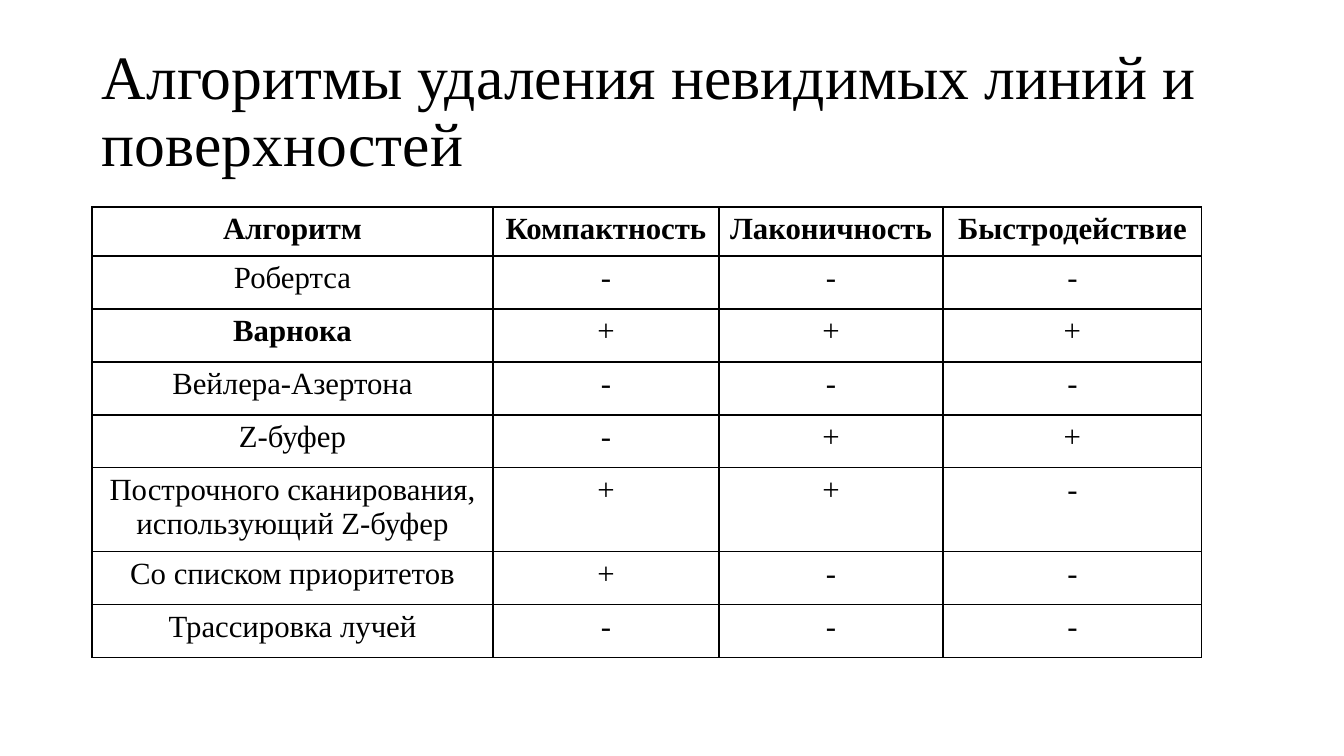
from dataclasses import dataclass

from lxml import etree
from pptx import Presentation
from pptx import util as u
from pptx.dml import color
from pptx.enum import text as t
from pptx.oxml import ns

EMU_PER_PIXEL = 914400 / 100.8


@dataclass(frozen=True)
class Theme:
    font: str = "Times New Roman"
    ink: str = "000000"
    paper: str = "FFFFFF"
    title_size: int = 44
    table_size: int = 22
    border_width: int = 1


THEME = Theme()

HEADER = ("Алгоритм", "Компактность", "Лаконичность", "Быстродействие")
ALGORITHMS = (
    ("Робертса", "---"),
    ("Варнока", "+++"),
    ("Вейлера-Азертона", "---"),
    ("Z-буфер", "-++"),
    ("Построчного сканирования, использующий Z-буфер", "++-"),
    ("Со списком приоритетов", "+--"),
    ("Трассировка лучей", "---"),
)
BEST_ALGORITHM = "Варнока"
COLUMN_WIDTHS = (401, 226, 224, 259)
HEADER_HEIGHT, ROW_HEIGHT, TWO_LINE_HEIGHT = 49, 53, 78
TWO_LINE_ROW = 5


def px(pixels):
    return u.Emu(round(pixels * EMU_PER_PIXEL))


def write(frame, text, *, size, bold=False, align=t.PP_ALIGN.LEFT, spacing=1.0):
    frame.word_wrap = True
    paragraph = frame.paragraphs[0]
    paragraph.alignment = align
    paragraph.line_spacing = spacing
    run = paragraph.add_run()
    run.text = text
    run.font.name = THEME.font
    run.font.size = u.Pt(size)
    run.font.bold = bold
    run.font.color.rgb = color.RGBColor.from_string(THEME.ink)


def set_borders(cell):
    properties = cell._tc.get_or_add_tcPr()
    for position, side in enumerate(("lnL", "lnR", "lnT", "lnB")):
        line = etree.Element(ns.qn(f"a:{side}"), w=str(u.Pt(THEME.border_width)))
        fill = etree.SubElement(line, ns.qn("a:solidFill"))
        etree.SubElement(fill, ns.qn("a:srgbClr"), val=THEME.ink)
        properties.insert(position, line)


def add_title(slide, left, top, width, height):
    shape = slide.shapes.add_textbox(px(left), px(top), px(width), px(height))
    shape.text_frame.vertical_anchor = t.MSO_ANCHOR.MIDDLE
    write(shape.text_frame, "Алгоритмы удаления невидимых линий и поверхностей",
          size=THEME.title_size, spacing=0.9)


def add_comparison(slide, left, top, width, height):
    rows = [HEADER] + [(name, *marks) for name, marks in ALGORITHMS]
    table = slide.shapes.add_table(len(rows), len(HEADER), px(left), px(top),
                                   px(width), px(height)).table
    table.horz_banding = False

    # Grid: column widths are shares of the box
    for column, share in zip(table.columns, COLUMN_WIDTHS):
        column.width = px(width * share / sum(COLUMN_WIDTHS))
    for row in table.rows:
        row.height = px(ROW_HEIGHT)
    table.rows[0].height = px(HEADER_HEIGHT)
    table.rows[TWO_LINE_ROW].height = px(TWO_LINE_HEIGHT)

    # Cells
    for row_index, values in enumerate(rows):
        for column_index, value in enumerate(values):
            cell = table.cell(row_index, column_index)
            cell.fill.solid()
            cell.fill.fore_color.rgb = color.RGBColor.from_string(THEME.paper)
            cell.margin_left = cell.margin_right = px(9)
            set_borders(cell)
            write(cell.text_frame, value, size=THEME.table_size,
                  bold=row_index == 0 or value == BEST_ALGORITHM,
                  align=t.PP_ALIGN.CENTER)


presentation = Presentation()
presentation.slide_width, presentation.slide_height = px(1344), px(756)
slide = presentation.slides.add_slide(presentation.slide_layouts[6])
add_title(slide, 92, 40, 1159, 146)
add_comparison(slide, 92, 207, 1110, 447)
presentation.save("out.pptx")
